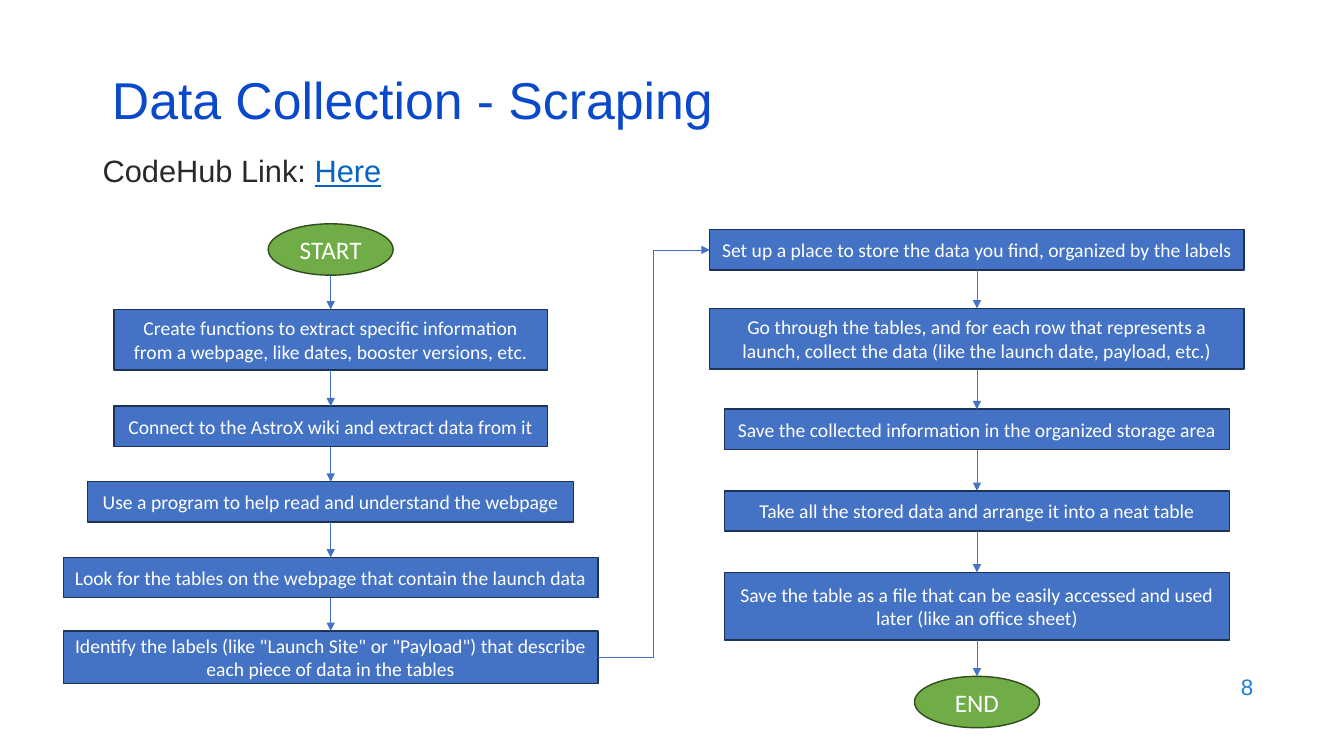
import pptx
import pptx.util
import pptx.dml.color
import pptx.enum.shapes
import pptx.enum.text
import pptx.oxml
from pptx.util import Inches

RGBColor = pptx.dml.color.RGBColor
SHAPE = pptx.enum.shapes.MSO_SHAPE
CONNECTOR = pptx.enum.shapes.MSO_CONNECTOR
ALIGN = pptx.enum.text.PP_ALIGN
ANCHOR = pptx.enum.text.MSO_ANCHOR

TITLE_BLUE = RGBColor(0x0B, 0x49, 0xCB)
NUMBER_BLUE = RGBColor(0x1C, 0x7D, 0xDB)
LINK_BLUE = RGBColor(0x05, 0x63, 0xC1)
TEXT_DARK = RGBColor(0x29, 0x29, 0x29)
STEP_BLUE = RGBColor(0x44, 0x72, 0xC4)
STEP_EDGE = RGBColor(0x1E, 0x32, 0x56)
END_GREEN = RGBColor(0x70, 0xAD, 0x47)
END_EDGE = RGBColor(0x31, 0x4C, 0x1F)
WHITE = RGBColor(0xFF, 0xFF, 0xFF)

TOP, LEFT, BOTTOM, RIGHT = range(4)
LEFT_CENTER, RIGHT_CENTER = 3.28, 9.69
OVAL_WIDTH, OVAL_HEIGHT = 1.24, 0.51
START_TOP, END_TOP = 2.22, 6.71

# Each step: top, width, height, wording
LEFT_STEPS = [
    (3.07, 4.3, 0.6, "Create functions to extract specific information from a webpage, "
                     "like dates, booster versions, etc."),
    (4.03, 4.3, 0.4, "Connect to the AstroX wiki and extract data from it"),
    (4.78, 4.82, 0.4, "Use a program to help read and understand the webpage"),
    (5.53, 5.3, 0.4, "Look for the tables on the webpage that contain the launch data"),
    (6.26, 5.3, 0.52, 'Identify the labels (like "Launch Site" or "Payload") that describe '
                      "each piece of data in the tables"),
]
RIGHT_STEPS = [
    (2.28, 5.3, 0.4, "Set up a place to store the data you find, organized by the labels"),
    (3.06, 5.3, 0.6, "Go through the tables, and for each row that represents a launch, "
                     "collect the data (like the launch date, payload, etc.)"),
    (4.06, 5.01, 0.4, "Save the collected information in the organized storage area"),
    (4.87, 5.01, 0.4, "Take all the stored data and arrange it into a neat table"),
    (5.68, 5.01, 0.67, "Save the table as a file that can be easily accessed and used later "
                       "(like an office sheet)"),
]


def set_font(font, size, name, color, underline=None):
    values = {"size": pptx.util.Pt(size), "name": name, "underline": underline}
    for key, value in values.items():
        setattr(font, key, value)
    font.color.rgb = color


def set_frame(frame, anchor):
    values = {"word_wrap": True, "vertical_anchor": anchor,
              "auto_size": pptx.enum.text.MSO_AUTO_SIZE.NONE}
    for key, value in values.items():
        setattr(frame, key, value)


def add_run(paragraph, wording, *font_values):
    run = paragraph.add_run()
    run.text = wording
    set_font(run.font, *font_values)


def add_title(slide, wording):
    title = slide.shapes.title
    place = {"left": 1.01, "top": 0.76, "width": 11.5, "height": 0.6}
    for key, value in place.items():
        setattr(title, key, Inches(value))
    set_frame(title.text_frame, ANCHOR.MIDDLE)
    heading = title.text_frame.paragraphs[0]
    heading.alignment = ALIGN.LEFT
    heading.line_spacing = 0.7
    add_run(heading, wording, 37, "Arial", TITLE_BLUE)


def add_text(slide, left, top, width, height, anchor, align):
    """Add an empty text box and return its paragraph."""
    holder = slide.shapes.add_textbox(*map(Inches, (left, top, width, height)))
    set_frame(holder.text_frame, anchor)
    paragraph = holder.text_frame.paragraphs[0]
    paragraph.alignment = align
    return paragraph


def add_node(slide, preset, center, top, width, height, wording, size, fill, edge):
    node = slide.shapes.add_shape(
        preset, *map(Inches, (center - width / 2, top, width, height)))
    node.shadow.inherit = False
    node.fill.solid()
    node.fill.fore_color.rgb = fill
    node.line.color.rgb = edge
    node.line.width = pptx.util.Pt(1)
    set_frame(node.text_frame, ANCHOR.MIDDLE)
    label = node.text_frame.paragraphs[0]
    label.alignment = ALIGN.CENTER
    add_run(label, wording, size, "Calibri", WHITE)
    return node


def add_terminal(slide, center, top, wording):
    return add_node(slide, SHAPE.OVAL, center, top, OVAL_WIDTH, OVAL_HEIGHT,
                    wording, 18, END_GREEN, END_EDGE)


def add_steps(slide, center, steps):
    """Add a column of steps joined by arrows."""
    nodes = [add_node(slide, SHAPE.RECTANGLE, center, *step, 14, STEP_BLUE, STEP_EDGE)
             for step in steps]
    for upper, lower in zip(nodes, nodes[1:]):
        join_down(slide, upper, lower)
    return nodes


def side_point(node, side):
    middle_x, middle_y = node.left + node.width // 2, node.top + node.height // 2
    return {TOP: (middle_x, node.top), LEFT: (node.left, middle_y),
            BOTTOM: (middle_x, node.top + node.height),
            RIGHT: (node.left + node.width, middle_y)}[side]


def add_arrow(slide, kind, source, source_side, target, target_side):
    arrow = slide.shapes.add_connector(
        kind, *side_point(source, source_side), *side_point(target, target_side))
    # An oval numbers its connection sites differently below the top
    if source.auto_shape_type == SHAPE.RECTANGLE:
        arrow.begin_connect(source, source_side)
    arrow.end_connect(target, target_side)
    arrow.line.color.rgb = STEP_BLUE
    arrow.line.width = pptx.util.Pt(0.5)
    namespace = pptx.oxml.ns.nsdecls("a")
    arrow.line._get_or_add_ln().append(
        pptx.oxml.parse_xml(f'<a:tailEnd {namespace} type="triangle"/>'))
    arrow._element.spPr.append(pptx.oxml.parse_xml(f"<a:effectLst {namespace}/>"))


def join_down(slide, upper, lower):
    add_arrow(slide, CONNECTOR.STRAIGHT, upper, BOTTOM, lower, TOP)


def main():
    deck = pptx.Presentation()
    deck.slide_width, deck.slide_height = Inches(13.33), Inches(7.5)
    slide = deck.slides.add_slide(deck.slide_layouts[5])

    add_title(slide, "Data Collection - Scraping")
    link = add_text(slide, 0.92, 1.46, 11.5, 0.47, ANCHOR.TOP, ALIGN.LEFT)
    add_run(link, "CodeHub Link: ", 22, "Arial", TEXT_DARK)
    add_run(link, "Here", 22, "Arial", LINK_BLUE, True)
    number = add_text(slide, 9.53, 6.59, 3, 0.44, ANCHOR.MIDDLE, ALIGN.RIGHT)
    add_run(number, "8", 16, "Arial", NUMBER_BLUE)

    start = add_terminal(slide, LEFT_CENTER, START_TOP, "START")
    collecting = add_steps(slide, LEFT_CENTER, LEFT_STEPS)
    storing = add_steps(slide, RIGHT_CENTER, RIGHT_STEPS)
    end = add_terminal(slide, RIGHT_CENTER, END_TOP, "END")

    join_down(slide, start, collecting[0])
    add_arrow(slide, CONNECTOR.ELBOW, collecting[-1], RIGHT, storing[0], LEFT)
    join_down(slide, storing[-1], end)
    deck.save("out.pptx")


if __name__ == "__main__":
    main()
